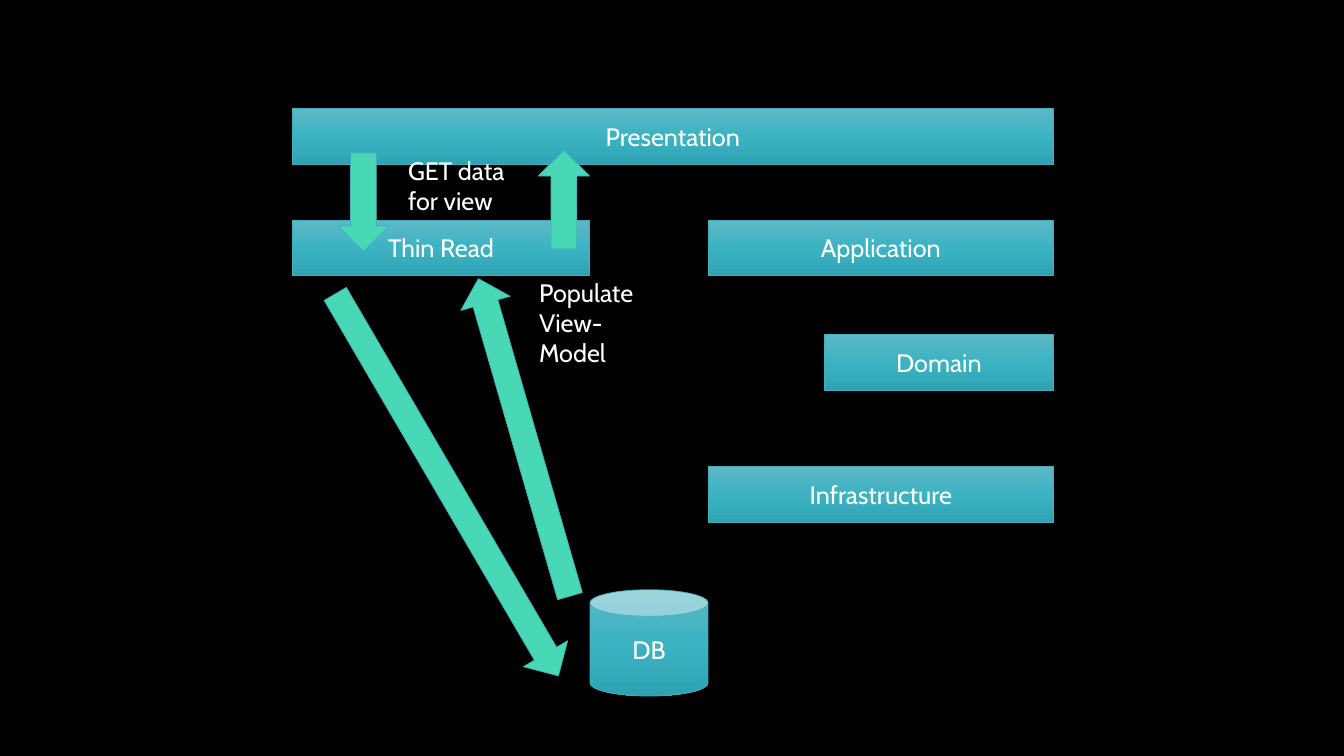
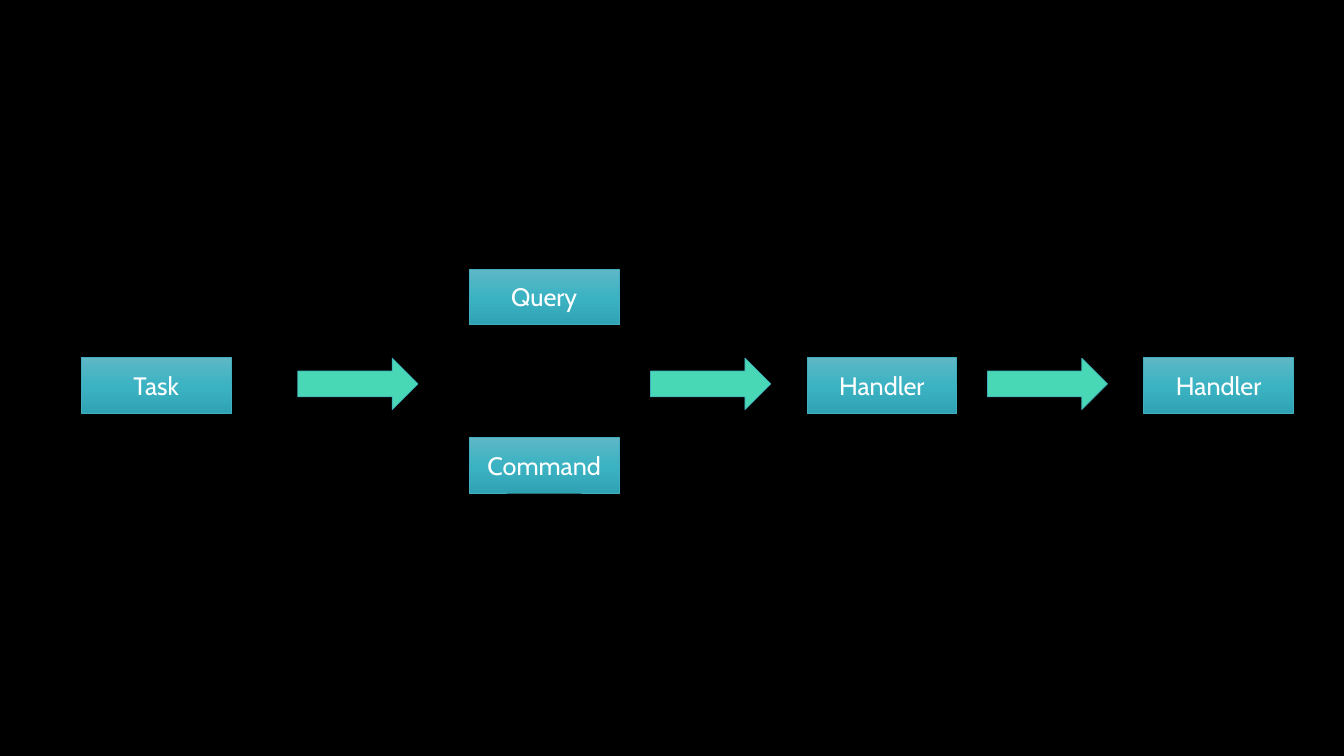
"""Build two slides on the read path and the task flow of a layered system."""
from copy import deepcopy

from pptx import Presentation
from pptx.dml.color import RGBColor as RGB
from pptx.enum.shapes import MSO_SHAPE as Kind
from pptx.enum.text import MSO_ANCHOR as Anchor, MSO_AUTO_SIZE as Auto, PP_ALIGN as Align
from pptx.util import Pt

COLORS = {
    "back": "000000",
    "text": "FFFFFF",
    "top": "5FB7C5",
    "mid": "3BB3C3",
    "low": "2FA3B3",
    "edge": "41AEBD",
    "arrow": "48D8B5",
}
FONT = "Cabin"
SIZE = 18
BOX_H = 39.8
ARROW_W = 36.7


def color(name):
    """Return the named colour."""
    return RGB.from_string(COLORS[name])


def shade(shape):
    """Fill a shape from top to bottom with the three box colours."""
    fill = shape.fill
    fill.gradient()
    fill.gradient_angle = 270
    first = shape._element.spPr.gradFill.gsLst[0]
    first.addnext(deepcopy(first))
    for stop, name, pos in zip(fill.gradient_stops, ("top", "mid", "low"), (0, 0.5, 1)):
        stop.color.rgb = color(name)
        stop.position = pos


def write(frame, text, align):
    """Put one styled run in a text frame."""
    frame.word_wrap = True
    para = frame.paragraphs[0]
    para.alignment = align
    run = para.add_run()
    run.text = text
    run.font.name = FONT
    run.font.size = Pt(SIZE)
    run.font.color.rgb = color("text")


def add_form(slide, kind, x, y, w, h):
    """Add a preset shape with the thin shared edge."""
    shape = slide.shapes.add_shape(kind, Pt(x), Pt(y), Pt(w), Pt(h))
    shape.shadow.inherit = False
    shape.line.color.rgb = color("edge")
    shape.line.width = Pt(0.5)
    return shape


def add_box(slide, text, x, y, w, h=BOX_H, kind=Kind.RECTANGLE):
    """Add a shaded shape with a centred name."""
    box = add_form(slide, kind, x, y, w, h)
    shade(box)
    box.text_frame.vertical_anchor = Anchor.MIDDLE
    write(box.text_frame, text, Align.CENTER)


def add_arrow(slide, x, y, size, turn=0):
    """Add a block arrow centred on a point, turned clockwise from down."""
    arrow = add_form(slide, Kind.DOWN_ARROW, x - ARROW_W / 2, y - size / 2, ARROW_W, size)
    arrow.rotation = turn
    arrow.fill.solid()
    arrow.fill.fore_color.rgb = color("arrow")


def add_label(slide, text, x, y, w, h):
    """Add a wrapped text label."""
    frame = slide.shapes.add_textbox(Pt(x), Pt(y), Pt(w), Pt(h)).text_frame
    write(frame, text, Align.LEFT)
    frame.auto_size = Auto.SHAPE_TO_FIT_TEXT


def add_layers(slide):
    """Draw the layers and the thin read path to the database."""
    left, right = 208.8, 752.4
    layers = (
        ("Presentation", 77.4, right - left),
        ("Application", 157.2, 246.4),
        ("Domain", 238.8, 163.6),
        ("Infrastructure", 333.2, 246.4),
    )
    for text, y, w in layers:
        add_box(slide, text, right - w, y, w)
    add_box(slide, "DB", 421.4, 421.2, 84.4, 76, Kind.CAN)
    add_box(slide, "Thin Read", left, 157.2, 212.4)
    arrows = (
        (259.6, 144.4, 70.4, 0),
        (319.2, 346.4, 316, 329.7),
        (374.4, 312.4, 236, 163.9),
        (402.8, 142.6, 70.4, 180),
    )
    for x, y, size, turn in arrows:
        add_arrow(slide, x, y, size, turn)
    add_label(slide, "GET data for view", 284.4, 107.3, 88, 51)
    add_label(slide, "Populate View-Model", 378, 194.4, 88, 72.7)


def add_flow(slide):
    """Draw the flow from a task to its handlers."""
    mid = 255.4
    boxes = (
        ("Task", 58, mid),
        ("Command", 335.2, 312.4),
        ("Query", 335.2, 192.2),
        ("Handler", 576.4, mid),
        ("Handler", 817, mid),
    )
    for text, x, y in boxes:
        add_box(slide, text, x, y, 107)
    for x in (255.6, 507.6, 748.2):
        add_arrow(slide, x, 274.2, 85.8, 270)


def main():
    """Build and save the slides."""
    prs = Presentation()
    prs.slide_width, prs.slide_height = Pt(960), Pt(540)
    back = prs.slide_master.background.fill
    back.solid()
    back.fore_color.rgb = color("back")
    for draw in (add_layers, add_flow):
        draw(prs.slides.add_slide(prs.slide_layouts[6]))
    prs.save("out.pptx")


if __name__ == "__main__":
    main()
